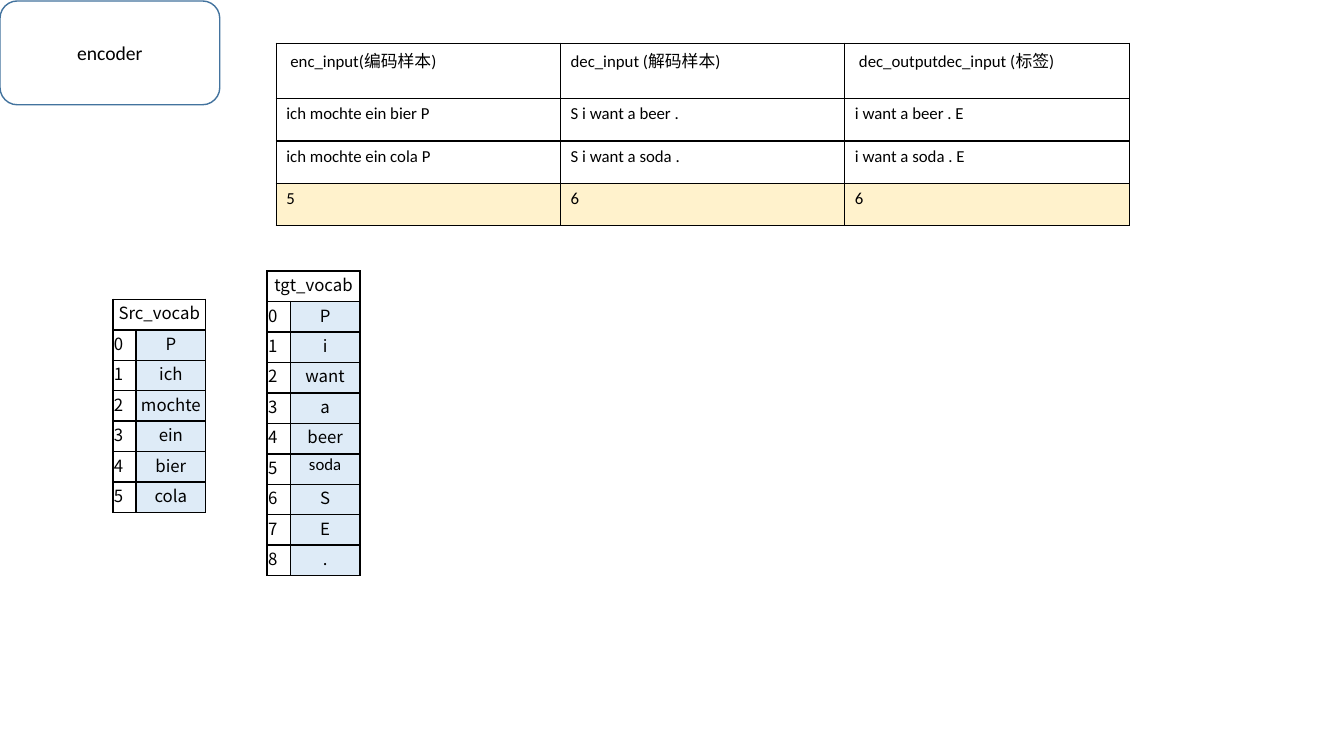
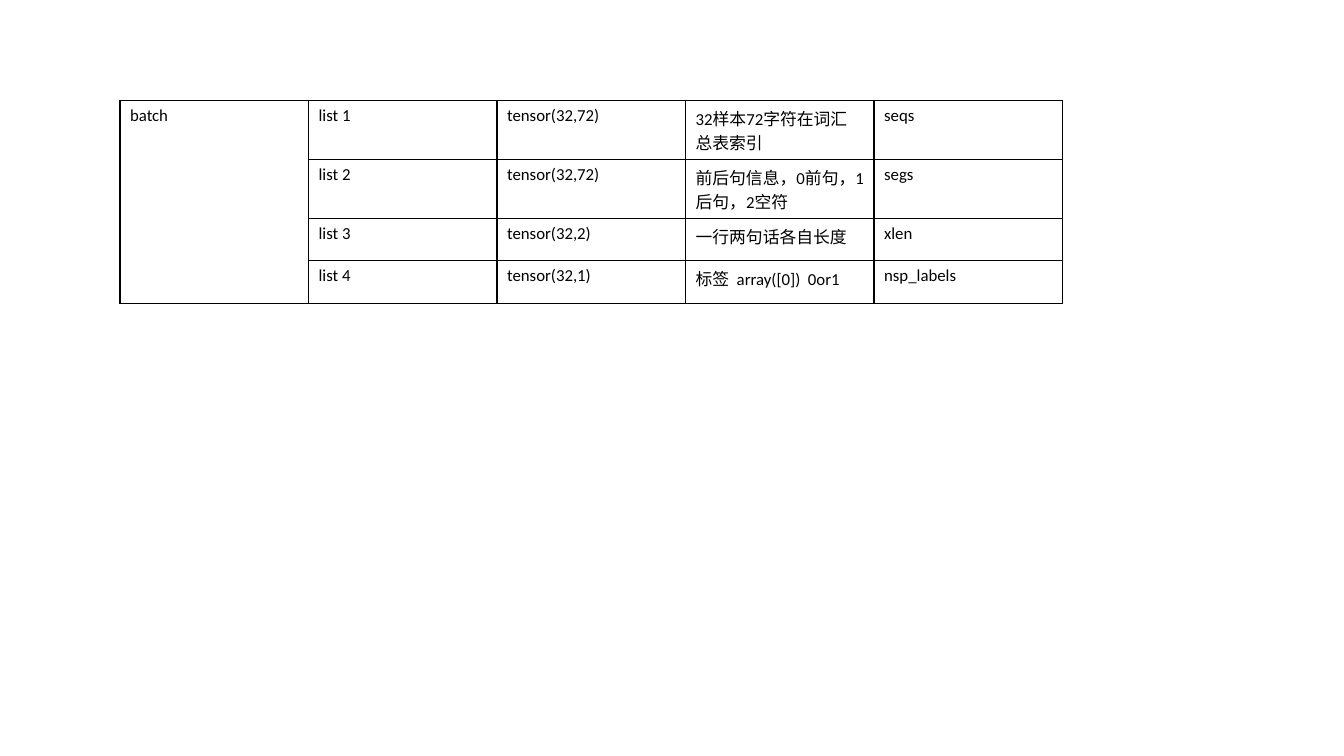
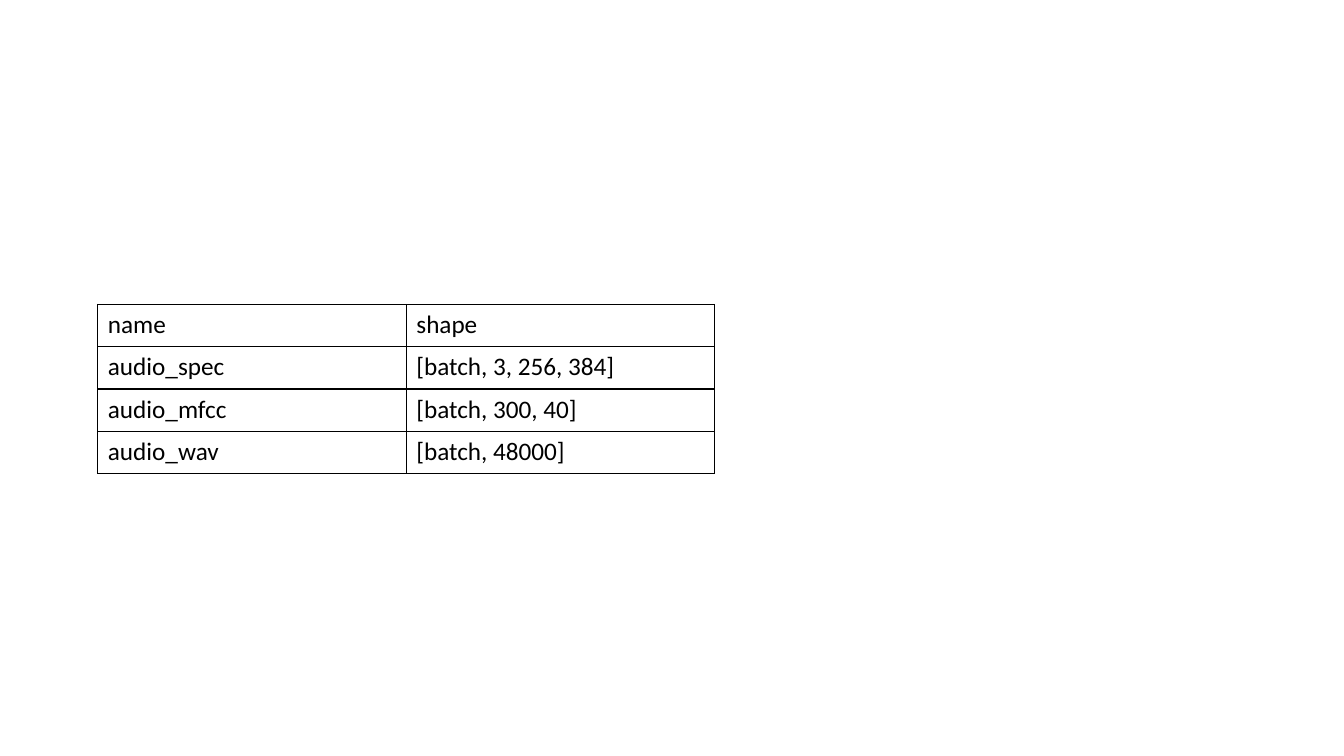
from dataclasses import dataclass

from lxml import etree
from pptx import Presentation
from pptx.dml.color import RGBColor
from pptx.enum import shapes, text
from pptx.oxml import ns
from pptx.util import Inches, Pt


@dataclass(frozen=True)
class Theme:
    ink: str = "000000"
    outline: str = "43739E"
    word_fill: str = "DEEBF7"
    length_fill: str = "FFF2CC"
    body_font: str = "Calibri"
    cjk_font: str = "Noto Sans CJK SC"
    small: int = 12
    label: int = 14
    large: int = 18
    rule: float = 1
    vocab_rule: float = 1.2
    row: float = 0.42
    vocab_row: float = 0.3


THEME = Theme()
CENTER = text.PP_ALIGN.CENTER
LEFT = text.PP_ALIGN.LEFT


def write(frame, words, size, font=THEME.body_font, align=LEFT):
    frame.text = words
    paragraph = frame.paragraphs[0]
    paragraph.alignment = align
    for run in paragraph.runs:
        run.font.size = Pt(size)
        run.font.color.rgb = RGBColor.from_string(THEME.ink)
        run.font.name = font
        east_asian = etree.SubElement(run.font._element, ns.qn("a:ea"))
        east_asian.set("typeface", THEME.cjk_font)


def rule_cell(cell, width):
    """Draw all four borders; they must precede the fill in the cell."""
    properties = cell._tc.get_or_add_tcPr()
    for position, side in enumerate(("lnL", "lnR", "lnT", "lnB")):
        border = etree.Element(ns.qn(f"a:{side}"), w=str(Pt(width)))
        fill = etree.SubElement(border, ns.qn("a:solidFill"))
        etree.SubElement(fill, ns.qn("a:srgbClr"), val=THEME.ink)
        properties.insert(position, border)


def paint_cell(cell, color):
    if color:
        cell.fill.solid()
        cell.fill.fore_color.rgb = RGBColor.from_string(color)
    else:
        cell.fill.background()


def ruled_table(slide, left, top, widths, heights, rows, size,
                rule=THEME.rule, font=THEME.body_font):
    """Place a plain ruled grid; None leaves a cell for a merge."""
    grid = slide.shapes.add_table(
        len(rows), len(widths), Inches(left), Inches(top),
        Inches(sum(widths)), Inches(sum(heights))).table
    grid.first_row = grid.horz_banding = False
    for column, width in zip(grid.columns, widths):
        column.width = Inches(width)
    for row, height, entries in zip(grid.rows, heights, rows):
        row.height = Inches(height)
        for cell, words in zip(row.cells, entries):
            paint_cell(cell, None)
            rule_cell(cell, rule)
            write(cell.text_frame, words or "", size, font)
    return grid


def encoder_box(slide, left, top, width, height):
    encoder = slide.shapes.add_shape(
        shapes.MSO_SHAPE.ROUNDED_RECTANGLE,
        Inches(left), Inches(top), Inches(width), Inches(height))
    encoder.shadow.inherit = False
    encoder.fill.background()
    encoder.line.color.rgb = RGBColor.from_string(THEME.outline)
    encoder.line.width = Pt(1)
    encoder.text_frame.vertical_anchor = text.MSO_ANCHOR.MIDDLE
    write(encoder.text_frame, "encoder", THEME.label, align=CENTER)


def vocabulary(slide, left, top, title, words, body_font_words=()):
    """Title row over numbered words."""
    rows = [(title, None)] + [(str(i), word) for i, word in enumerate(words)]
    grid = ruled_table(slide, left, top, (0.23, 0.69),
                       [THEME.vocab_row] * len(rows), rows, THEME.small,
                       THEME.vocab_rule, THEME.cjk_font)
    for cell in grid.iter_cells():
        cell.margin_left = cell.margin_right = cell.margin_top = Inches(0.01)
        cell.margin_bottom = Inches(0.05)
    for number, word in enumerate(words, start=1):
        cell = grid.cell(number, 1)
        font = THEME.body_font if word in body_font_words else THEME.cjk_font
        write(cell.text_frame, word, THEME.small, font, CENTER)
        paint_cell(cell, THEME.word_fill)
    grid.cell(0, 0).merge(grid.cell(0, 1))
    grid.cell(0, 0).text_frame.paragraphs[0].alignment = CENTER


def sample_table(slide, left, top):
    rows = [
        ("enc_input(编码样本)", "dec_input (解码样本)",
         "dec_outputdec_input (标签)"),
        ("ich mochte ein bier P", "S i want a beer .", "i want a beer . E"),
        ("ich mochte ein cola P", "S i want a soda .", "i want a soda . E"),
        ("5", "6", "6"),
    ]
    samples = ruled_table(slide, left, top, [2.82] * 3,
                          [0.55] + [THEME.row] * 3, rows, THEME.small)
    # Two headings are set in slightly
    for column in (0, 2):
        samples.cell(0, column).margin_left = Inches(0.14)
    # Sequence lengths
    for cell in samples.rows[3].cells:
        paint_cell(cell, THEME.length_fill)


def encoder_slide(slide):
    encoder_box(slide, 0, 0.01, 2.18, 1.03)
    vocabulary(slide, 1.12, 2.97, "Src_vocab",
               ("P", "ich", "mochte", "ein", "bier", "cola"))
    vocabulary(slide, 2.65, 2.69, "tgt_vocab",
               ("P", "i", "want", "a", "beer", "soda", "S", "E", "."),
               body_font_words=("soda",))
    sample_table(slide, 2.74, 0.43)


def batch_slide(slide):
    rows = [
        ("batch", "list 1", "tensor(32,72)", "32样本72字符在词汇总表索引", "seqs"),
        (None, "list 2", "tensor(32,72)", "前后句信息，0前句，1后句，2空符", "segs"),
        (None, "list 3", "tensor(32,2)", "一行两句话各自长度", "xlen"),
        (None, "list 4", "tensor(32,1)", "标签  array([0])  0or1", "nsp_labels"),
    ]
    batch = ruled_table(slide, 1.19, 1, [1.87] * 5,
                        [0.58] * 2 + [THEME.row] * 2, rows, THEME.small)
    batch.cell(0, 0).merge(batch.cell(3, 0))


def audio_slide(slide):
    rows = [
        ("name", "shape"),
        ("audio_spec", "[batch, 3, 256, 384]"),
        ("audio_mfcc", "[batch, 300, 40]"),
        ("audio_wav", "[batch, 48000]"),
    ]
    ruled_table(slide, 0.97, 3.02, [3.06] * 2, [THEME.row] * 4, rows,
                THEME.large)


def main():
    deck = Presentation()
    deck.slide_width, deck.slide_height = Inches(13.33), Inches(7.5)
    blank = deck.slide_layouts[6]
    for build in (encoder_slide, batch_slide, audio_slide):
        build(deck.slides.add_slide(blank))
    deck.save("out.pptx")


if __name__ == "__main__":
    main()
